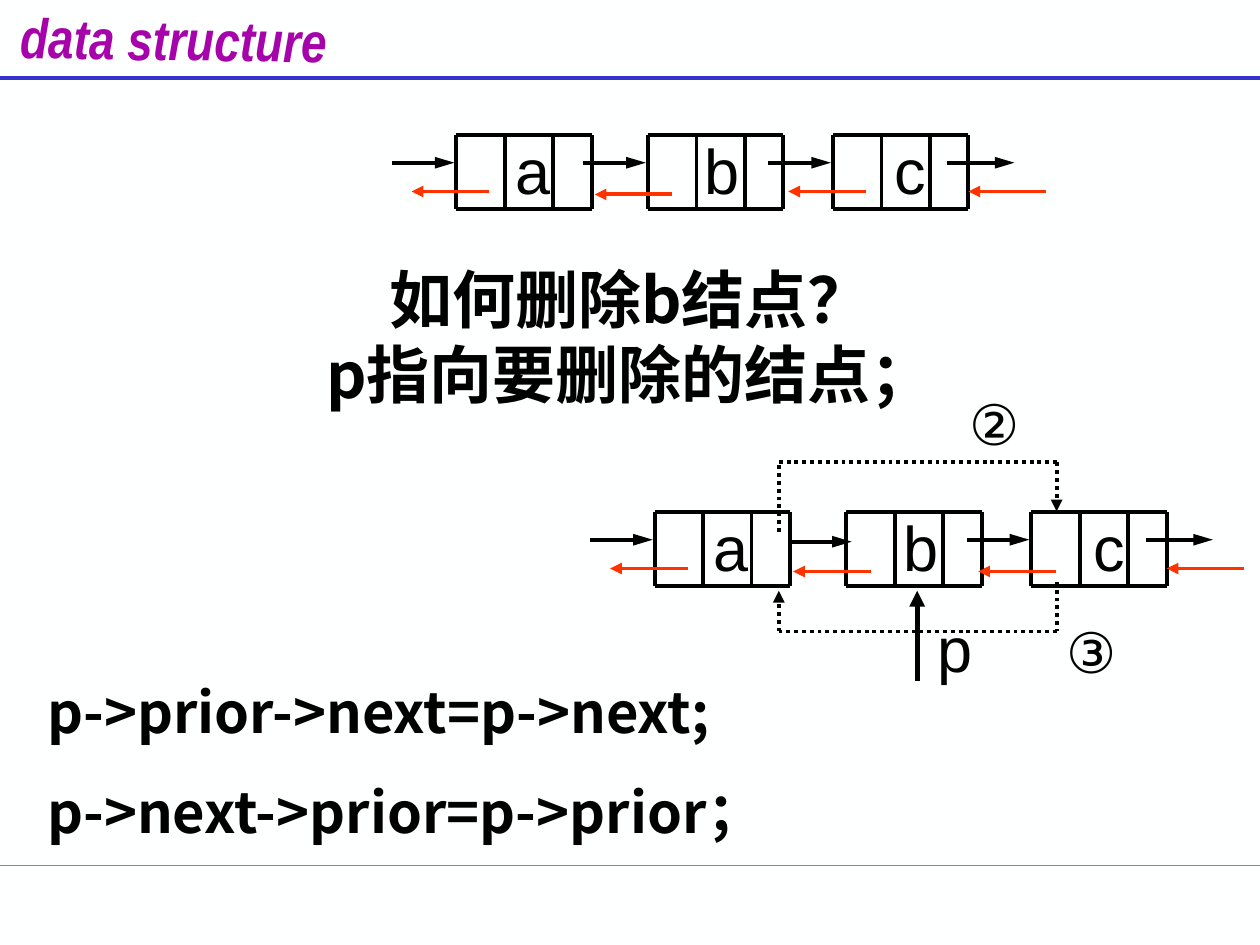
from itertools import pairwise

from lxml import etree
from pptx import Presentation
from pptx import util as u
from pptx.dml.color import RGBColor
from pptx.enum import dml, shapes, text
from pptx.oxml import ns

BLACK = RGBColor(0x00, 0x00, 0x00)
RED = RGBColor(0xFF, 0x33, 0x00)
BLUE = RGBColor(0x33, 0x33, 0xCC)
GREEN = RGBColor(0x00, 0xCC, 0x99)
PURPLE = RGBColor(0xA6, 0x03, 0xAB)
PAPER = RGBColor(0xFE, 0xFF, 0xFF)

SANS, HAN, NARROW = "Arial", "Noto Sans CJK SC", "Arial Narrow"
MID = text.PP_ALIGN.CENTER

# Node geometry, in cm
WIDE, HIGH = 2.73, 1.5
NODES = (("a", 0, 0.94), ("b", 3.86, 0.9), ("c", 7.59, 1.0))
STEP = 1.56  # length of a prior arrow
NEXT = (-1.3, 0.56)  # start of the next arrow, from the node's corner
PRIOR, LOW = (-0.9, 1.14), (-1.07, 1.2)  # tip of the prior arrow


def line(slide, start, end, color=BLACK, width=2.25, dots=False, arrow=None):
    """Draw a straight line; arrow is the length of its head, med or lg."""
    item = slide.shapes.add_connector(
        shapes.MSO_CONNECTOR.STRAIGHT, *(u.Cm(n) for n in (*start, *end)))
    item.line.color.rgb = color
    item.line.width = u.Pt(width)
    if dots:
        item.line.dash_style = dml.MSO_LINE.ROUND_DOT
    if arrow:
        tail = etree.SubElement(item.line._get_or_add_ln(), ns.qn("a:tailEnd"))
        tail.set("type", "triangle")
        tail.set("len", arrow)
    etree.SubElement(item._element.spPr, ns.qn("a:effectLst"))


def label(slide, words, left, top, width, height, size=36, font=SANS,
          color=BLACK, bold=False, italic=False, wrap=False, align=None,
          pitch=None, turn=0, inset=0.25):
    box = slide.shapes.add_textbox(*(u.Cm(n) for n in (left, top, width, height)))
    box.rotation = turn
    frame = box.text_frame
    frame.word_wrap = wrap
    frame.margin_left = frame.margin_right = u.Cm(inset)
    para = frame.paragraphs[0]
    para.text = words
    para.alignment = align
    if pitch:
        para.line_spacing = u.Pt(pitch)
    for run in para.runs:
        run.font.name = font
        run.font.size = u.Pt(size)
        run.font.bold = bold
        run.font.italic = italic
        run.font.color.rgb = color
        east = etree.SubElement(run.font._element, ns.qn("a:ea"))
        east.set("typeface", font)


def node(slide, name, left, top, inset):
    """Draw a cell with prior, data and next fields."""
    right, base = left + WIDE, top + HIGH
    for y in (top, base):
        line(slide, (left, y), (right, y))
    for x in (left, left + 0.98, left + 1.95, right):
        line(slide, (x, top), (x, base))
    label(slide, name, left + inset, top - 0.2, 1.2, 1.78)


def chain(slide, left, top, nexts, priors):
    """Draw three linked nodes; nexts and priors place the arrows before each."""
    for (name, shift, inset), ahead, back in zip(NODES, nexts, priors):
        x = left + shift
        node(slide, name, x, top, inset)
        start, tip = ((x + dx, top + dy) for dx, dy in (ahead, back))
        line(slide, start, (start[0] + 1.26, start[1]), arrow="lg")
        line(slide, (tip[0] + STEP, tip[1]), tip, RED, arrow="med")
    line(slide, (x + 2.31, top + 0.56), (x + 3.66, top + 0.56), arrow="lg")
    line(slide, (x + WIDE + STEP, top + 1.14), (x + WIDE, top + 1.14),
         RED, arrow="med")


def route(slide, *points):
    """Draw a dotted path that ends in an arrowhead."""
    for start, end in pairwise(points):
        line(slide, start, end, dots=True,
             arrow="med" if end == points[-1] else None)


def main():
    deck = Presentation()
    deck.slide_width, deck.slide_height = u.Cm(25.4), u.Cm(19.05)
    slide = deck.slides.add_slide(deck.slide_layouts[6])
    slide.background.fill.solid()
    slide.background.fill.fore_color.rgb = PAPER

    line(slide, (0, 17.45), (25.4, 17.45), GREEN, 0.75)
    line(slide, (0, 1.57), (25.4, 1.57), BLUE)
    label(slide, "data structure", 0.1, -0.03, 6.8, 1.37, size=32,
          font=NARROW, color=PURPLE, bold=True, italic=True, wrap=True,
          align=MID, turn=0.8, inset=0)
    label(slide, "如何删除b结点？\vp指向要删除的结点；", 1.09, 5.13, 23.22, 2.79,
          font=HAN, bold=True, wrap=True, align=MID, pitch=43)

    chain(slide, 9.2, 2.72, (NEXT, NEXT, NEXT), (PRIOR, LOW, PRIOR))
    chain(slide, 13.2, 10.32, (NEXT, (-1.15, 0.6), NEXT), (PRIOR, LOW, LOW))

    route(slide, (15.7, 10.72), (15.7, 9.32), (21.3, 9.32), (21.3, 10.31))
    route(slide, (21.3, 11.73), (21.3, 12.73), (15.7, 12.73), (15.7, 11.91))
    line(slide, (18.49, 13.72), (18.49, 11.91), width=3, arrow="med")
    label(slide, "p", 18.64, 12.17, 1.22, 1.78)
    label(slide, "②", 19.3, 7.72, 1.5, 1.63, size=32)
    label(slide, "③", 21.26, 12.32, 1.5, 1.63, size=32)

    for code, y in (("p->prior->next=p->next;", 13.51),
                    ("p->next->prior=p->prior；", 15.52)):
        label(slide, code, 0.7, y, 18.7, 1.63, size=32, font=HAN,
              bold=True, wrap=True, pitch=39)

    deck.save("out.pptx")


if __name__ == "__main__":
    main()
